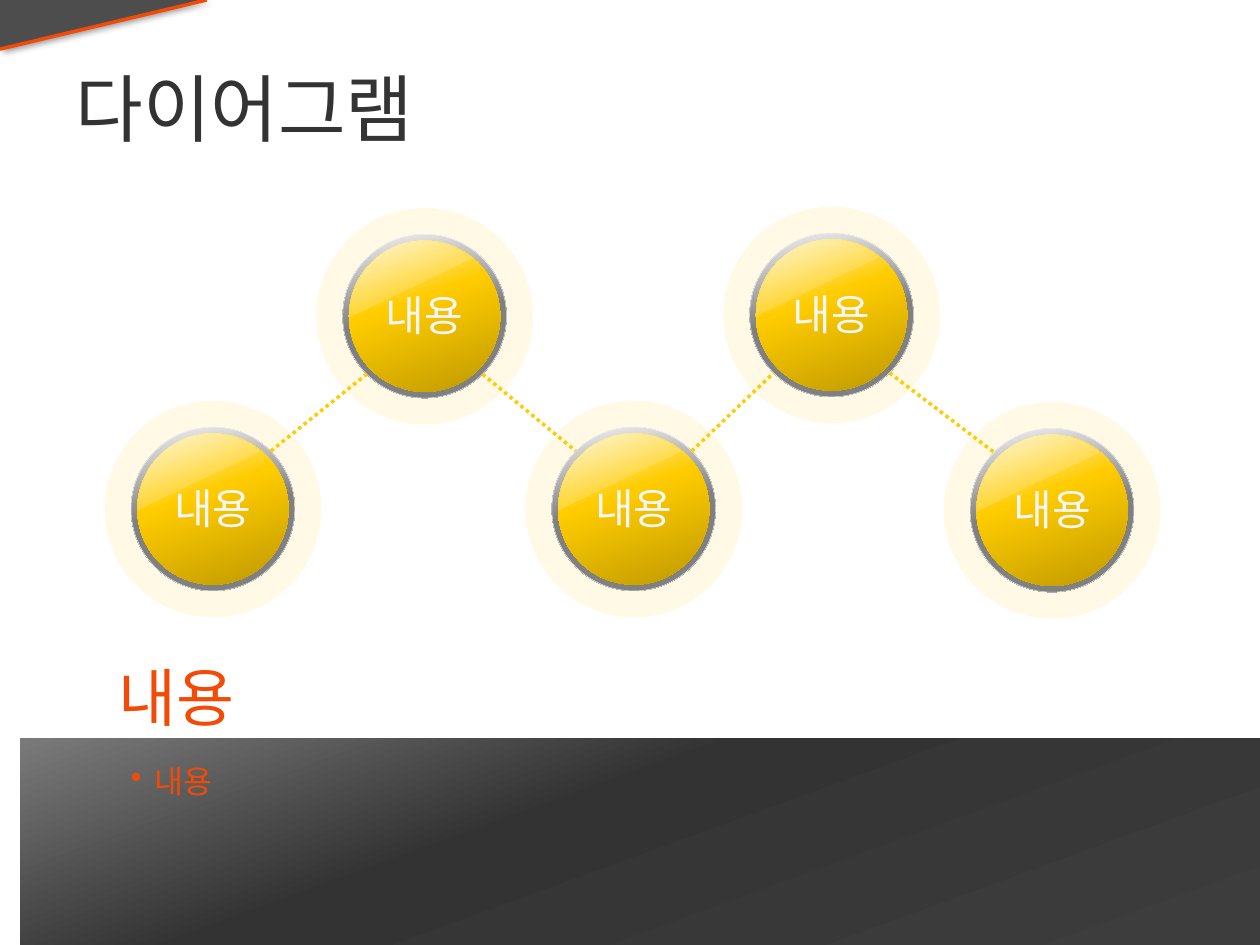
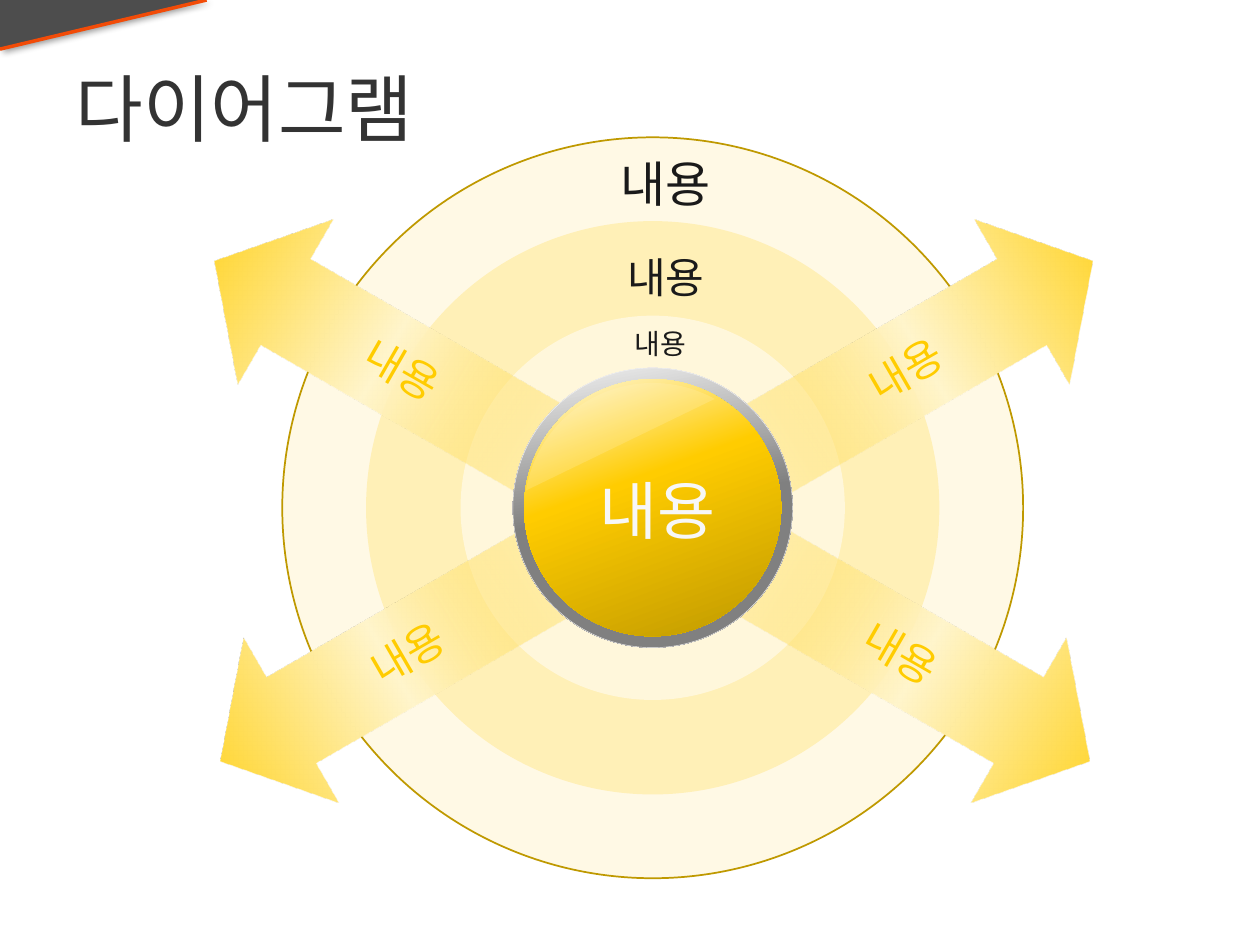
"""Builds two diagram slides: a chain of glossy balls and a target with arrows."""
import pptx
import pptx.dml.color
import pptx.enum.dml
import pptx.enum.shapes
import pptx.enum.text
import pptx.oxml
import pptx.oxml.ns
import pptx.util
from lxml import etree

Inches = pptx.util.Inches
Pt = pptx.util.Pt
RGBColor = pptx.dml.color.RGBColor
SHAPE = pptx.enum.shapes.MSO_SHAPE
ANCHOR = pptx.enum.text.MSO_ANCHOR
ALIGN = pptx.enum.text.PP_ALIGN
FIT = pptx.enum.text.MSO_AUTO_SIZE
qn = pptx.oxml.ns.qn

INK = RGBColor(0x33, 0x33, 0x33)
BLACK = RGBColor(0x1A, 0x1A, 0x1A)
SLATE = RGBColor(0x4D, 0x4D, 0x4D)
SMOKE = RGBColor(0x7A, 0x7A, 0x7A)
COAL = RGBColor(0x3D, 0x3D, 0x3D)
GREY = RGBColor(0x80, 0x80, 0x80)
SILVER = RGBColor(0xF2, 0xF2, 0xF2)
PEARL = RGBColor(0xF7, 0xF7, 0xF7)
WHITE = RGBColor(0xFF, 0xFF, 0xFF)
ORANGE = RGBColor(0xF2, 0x4B, 0x07)
GOLD = RGBColor(0xFF, 0xCC, 0x00)
BRONZE = RGBColor(0xBF, 0x99, 0x00)
CREAM = RGBColor(0xFF, 0xF5, 0xCC)
IVORY = RGBColor(0xFF, 0xFA, 0xE6)

NS = 'xmlns:a="http://schemas.openxmlformats.org/drawingml/2006/main"'
WORD = "내용"
RING = ([(0, SILVER), (50, GREY), (100, GREY)], 80)
GLOSS = ([(0, IVORY), (40, GOLD), (100, BRONZE)], 70)
BAND = ([(0, SMOKE), (40, INK), (100, COAL)], 70)
FADE = ([(0, GOLD, 0), (50, CREAM), (100, GOLD)], 0)


def blend(shape, stops, angle):
    """Give a shape a linear gradient of (place, colour, opacity) stops."""
    marks = ""
    for place, color, *alpha in stops:
        clear = f'<a:alpha val="{alpha[0] * 1000}"/>' if alpha else ""
        marks += (f'<a:gs pos="{place * 1000}"><a:srgbClr val="{color}">'
                  f'{clear}</a:srgbClr></a:gs>')
    grad = pptx.oxml.parse_xml(
        f'<a:gradFill {NS} rotWithShape="1"><a:gsLst>{marks}</a:gsLst>'
        f'<a:lin ang="{angle * 60000}" scaled="0"/></a:gradFill>')
    shape._element.spPr.find(qn("a:prstGeom")).addnext(grad)


def paint(shape, color, alpha=100):
    """Fill a shape with one colour at the given opacity."""
    shape.fill.solid()
    shape.fill.fore_color.rgb = color
    if alpha < 100:
        tone = shape._element.spPr.find(".//" + qn("a:srgbClr"))
        etree.SubElement(tone, qn("a:alpha"), val=str(alpha * 1000))


def form(slide, kind, box, edge=None, width=1):
    """Add a shadowless preset shape with an optional outline."""
    shape = slide.shapes.add_shape(kind, *map(Inches, box))
    shape.shadow.inherit = False
    if edge is None:
        shape.line.fill.background()
    else:
        shape.line.color.rgb = edge
        shape.line.width = Pt(width)
    return shape


def disc(slide, mid, size, kind=SHAPE.OVAL, **edge):
    """Add a round shape centred on a point."""
    x, y = mid
    return form(slide, kind, (x - size / 2, y - size / 2, size, size), **edge)


def rule(slide, start, end, color, dash=None):
    """Draw a straight line between two points."""
    line = slide.shapes.add_connector(
        pptx.enum.shapes.MSO_CONNECTOR.STRAIGHT, *map(Inches, (*start, *end)))
    line.line.color.rgb = color
    line.line.width = Pt(2)
    if dash:
        line.line.dash_style = dash
    etree.SubElement(line._element.spPr, qn("a:effectLst"))


def write(shape, text, size, color, face="Arial", align=ALIGN.LEFT, **frame):
    """Put one styled line of text into a shape."""
    for name, value in frame.items():
        setattr(shape.text_frame, name, value)
    para = shape.text_frame.paragraphs[0]
    para.alignment = align
    run = para.add_run()
    run.text = text
    for name, value in {"size": Pt(size), "name": face}.items():
        setattr(run.font, name, value)
    run.font.color.rgb = color
    etree.SubElement(run._r.get_or_add_rPr(), qn("a:ea"), typeface=face)
    return para


def label(slide, box, text, size, color, **style):
    """Add a text box holding one line."""
    frame = {"word_wrap": True, "auto_size": FIT.SHAPE_TO_FIT_TEXT, **style}
    shape = slide.shapes.add_textbox(*map(Inches, box))
    return write(shape, text, size, color, **frame)


def base(deck):
    """Start a slide with the corner flag."""
    slide = deck.slides.add_slide(deck.slide_layouts[6])
    flag = form(slide, SHAPE.RIGHT_TRIANGLE, (0, 0, 1.64, 0.39))
    flag._element.spPr.find(qn("a:xfrm")).set("flipV", "1")
    paint(flag, SLATE)
    glow = pptx.oxml.parse_xml(
        f'<a:outerShdw {NS} blurRad="{Pt(4)}" dist="{Pt(3)}" dir="2700000">'
        '<a:srgbClr val="000000"><a:alpha val="40000"/></a:srgbClr></a:outerShdw>')
    flag._element.spPr.find(qn("a:effectLst")).append(glow)
    rule(slide, (0, 0.39), (1.64, 0), ORANGE)
    return slide


def title(slide):
    """Add the slide title."""
    label(slide, (0.5, 0.37, 8.08, 0.96), "다이어그램", 42, INK, face="DejaVu Sans",
          vertical_anchor=ANCHOR.MIDDLE, auto_size=FIT.NONE)


def ball(slide, mid, ring, core, drop, arc):
    """Add a glossy ball with a metal ring and a highlight."""
    blend(disc(slide, mid, ring, edge=SILVER, width=0.25), *RING)
    blend(disc(slide, mid, core), *GLOSS)
    shine = disc(slide, (mid[0], mid[1] + drop), core, SHAPE.CHORD)
    shine.rotation = 90
    for spot, value in enumerate(arc):
        shine.adjustments[spot] = value
    paint(shine, CREAM, 20)


def chain(deck):
    """Build the slide with five linked balls."""
    slide = base(deck)
    title(slide)
    blend(form(slide, SHAPE.RECTANGLE, (0.16, 5.86, 9.84, 1.64)), *BAND)
    mids = [(1.69, 4.04), (3.37, 2.51), (5.03, 4.04), (6.6, 2.5), (8.35, 4.05)]
    for x, y in mids:
        paint(disc(slide, (x, y), 1.72), GOLD, 10)
        ball(slide, (x, y), 1.3, 1.2, 0.01, (53.95, 131.3))
        label(slide, (x - 0.58, y - 0.26, 1.16, 0.5), WORD, 24, PEARL,
              align=ALIGN.CENTER)
    reach = 0.46
    for (x, y), (end, level) in zip(mids, mids[1:]):
        rise = reach if level > y else -reach
        rule(slide, (x + reach, y + rise), (end - reach, level - rise), GOLD,
             pptx.enum.dml.MSO_LINE.ROUND_DOT)
    item = label(slide, (0.94, 6, 7.96, 1.3), WORD, 18, ORANGE)
    props = item._p.get_or_add_pPr()
    for name, value in {"marL": Inches(0.19), "indent": -Inches(0.19)}.items():
        props.set(name, str(value))
    etree.SubElement(props, qn("a:buChar"), char="•")
    label(slide, (0.94, 5.23, 8.12, 0.6), WORD, 36, ORANGE,
          vertical_anchor=ANCHOR.BOTTOM, margin_left=0, margin_right=0,
          margin_top=0, margin_bottom=0)


def arrow(slide, left, top, turn, flip=None):
    """Add a fading block arrow with its label."""
    shape = form(slide, SHAPE.RIGHT_ARROW, (left, top, 3.1, 1.51))
    shape.rotation = turn
    if flip:
        shape._element.spPr.find(qn("a:xfrm")).set(flip, "1")
    shape.adjustments[0], shape.adjustments[1] = 0.52, 0.43
    blend(shape, *FADE)
    write(shape, WORD, 24, GOLD, align=ALIGN.CENTER, word_wrap=False,
          vertical_anchor=ANCHOR.MIDDLE)


def target(deck):
    """Build the slide with rings around a ball and four arrows."""
    slide = base(deck)
    mid = (5.18, 4.03)
    paint(disc(slide, mid, 5.88, edge=BRONZE), GOLD, 10)
    paint(disc(slide, mid, 4.55), GOLD, 20)
    paint(disc(slide, mid, 3.05), WHITE, 50)
    title(slide)
    arrow(slide, 5.75, 4.51, 30)
    arrow(slide, 5.78, 2.09, 330)
    arrow(slide, 1.54, 4.51, 150, "flipV")
    arrow(slide, 1.5, 2.09, 30, "flipH")
    ball(slide, mid, 2.22, 2.04, 0.03, (59.63, 125.32))
    for box, size, color in [((4.66, 3.69, 1.17, 0.71), 36, PEARL),
                             ((4.94, 2.54, 0.63, 0.37), 16, BLACK),
                             ((4.88, 1.95, 0.85, 0.49), 24, BLACK),
                             ((4.83, 1.17, 0.96, 0.57), 28, BLACK)]:
        label(slide, box, WORD, size, color, word_wrap=False)


def main():
    """Build and save the deck."""
    deck = pptx.Presentation()
    deck.slide_width, deck.slide_height = Inches(10), Inches(7.5)
    chain(deck)
    target(deck)
    deck.save("out.pptx")


if __name__ == "__main__":
    main()
